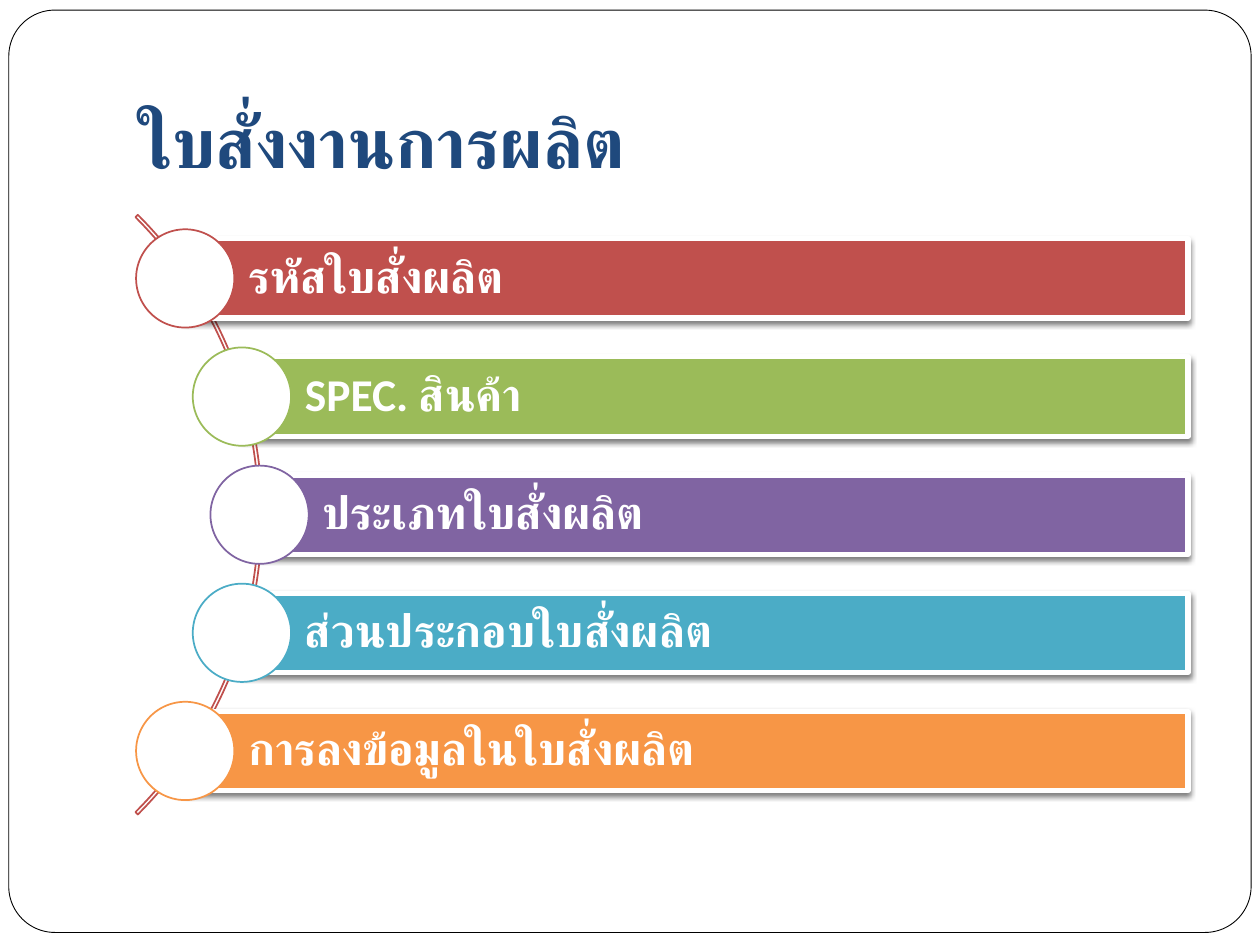
import pptx
import pptx.dml.color
import pptx.enum.shapes
import pptx.enum.text
import pptx.oxml
import pptx.oxml.ns
import pptx.util

RGBColor = pptx.dml.color.RGBColor
Shape = pptx.enum.shapes.MSO_SHAPE
Anchor = pptx.enum.text.MSO_ANCHOR

WHITE = RGBColor(0xFF, 0xFF, 0xFF)
BLACK = RGBColor(0, 0, 0)
NAVY = RGBColor(0x1F, 0x49, 0x7D)
RED = RGBColor(0xC0, 0x50, 0x4D)
GREEN = RGBColor(0x9B, 0xBB, 0x59)
PURPLE = RGBColor(0x80, 0x64, 0xA2)
TEAL = RGBColor(0x4B, 0xAC, 0xC6)
ORANGE = RGBColor(0xF7, 0x96, 0x46)

WIDTH = pptx.util.Inches(10)
HEIGHT = pptx.util.Inches(7.5)
FONT = "Calibri"

FIRST_ROW = 29.47
ROW_STEP = 12.5
BAR_RIGHT = 94.3
BAR_HEIGHT = 8.4
CIRCLE_WIDTH = 7.8
CIRCLE_HEIGHT = 10.4

TOPICS = [
    ("รหัสใบสั่งผลิต", RED, 14.7),
    ("SPEC. สินค้า", GREEN, 19.2),
    ("ประเภทใบสั่งผลิต", PURPLE, 20.6),
    ("ส่วนประกอบใบสั่งผลิต", TEAL, 19.2),
    ("การลงข้อมูลในใบสั่งผลิต", ORANGE, 14.7),
]


def percent_box(left, top, width, height):
    return (int(WIDTH * left / 100), int(HEIGHT * top / 100),
            int(WIDTH * width / 100), int(HEIGHT * height / 100))


def add_outlined(slide, kind, box, fill, line, weight):
    outlined = slide.shapes.add_shape(kind, *percent_box(*box))
    outlined.shadow.inherit = False
    if fill is None:
        outlined.fill.background()
    else:
        outlined.fill.solid()
        outlined.fill.fore_color.rgb = fill
    outlined.line.color.rgb = line
    outlined.line.width = pptx.util.Pt(weight)
    return outlined


def write_text(holder, words, size, color, anchor, insets):
    frame = holder.text_frame
    frame.word_wrap = True
    frame.vertical_anchor = anchor
    (frame.margin_left, frame.margin_top,
     frame.margin_right, frame.margin_bottom) = map(pptx.util.Inches, insets)
    paragraph = frame.paragraphs[0]
    paragraph.text = words
    paragraph.alignment = pptx.enum.text.PP_ALIGN.LEFT
    paragraph.font.name = FONT
    paragraph.font.size = pptx.util.Pt(size)
    paragraph.font.bold = True
    paragraph.font.color.rgb = color
    return paragraph


def drop_shadow(bar):
    effects = bar._element.spPr.find(pptx.oxml.ns.qn("a:effectLst"))
    effects.append(pptx.oxml.parse_xml(
        f'<a:outerShdw {pptx.oxml.ns.nsdecls("a")} blurRad="{pptx.util.Pt(3)}" '
        f'dist="{pptx.util.Pt(2)}" dir="5400000" rotWithShape="0">'
        '<a:srgbClr val="000000"><a:alpha val="50000"/></a:srgbClr>'
        '</a:outerShdw>'))


def add_frame(slide):
    frame = add_outlined(slide, Shape.ROUNDED_RECTANGLE,
                         (0.7, 1.07, 98.6, 97.6), WHITE, BLACK, 0.5)
    frame.adjustments[0] = 0.05


def add_title(slide, words):
    title = slide.shapes.add_textbox(*percent_box(10, 4, 85, 16.67))
    write_text(title, words, 40, NAVY, Anchor.BOTTOM, (0.1, 0.05, 0.1, 0.1))


def add_arc(slide):
    arc = add_outlined(slide, Shape.BLOCK_ARC,
                       (-46.5, 9.6, 67.3, 89.73), None, RED, 1)
    for index, value in enumerate((189, 27, 0.004)):
        arc.adjustments[index] = value


def add_topic(slide, row, words, color, left):
    middle = FIRST_ROW + row * ROW_STEP
    bar = add_outlined(slide, Shape.RECTANGLE,
                       (left, middle - BAR_HEIGHT / 2, BAR_RIGHT - left, BAR_HEIGHT),
                       color, WHITE, 3)
    drop_shadow(bar)
    label = write_text(bar, words, 26, WHITE, Anchor.MIDDLE, (0.5, 0.07, 0.07, 0.07))
    label.line_spacing = 0.9
    add_outlined(slide, Shape.OVAL,
                 (left - CIRCLE_WIDTH / 2, middle - CIRCLE_HEIGHT / 2,
                  CIRCLE_WIDTH, CIRCLE_HEIGHT), WHITE, color, 1)


def main():
    deck = pptx.Presentation()
    deck.slide_width, deck.slide_height = WIDTH, HEIGHT
    slide = deck.slides.add_slide(deck.slide_layouts[6])
    add_frame(slide)
    add_title(slide, "ใบสั่งงานการผลิต")
    add_arc(slide)
    for row, (words, color, left) in enumerate(TOPICS):
        add_topic(slide, row, words, color, left)
    deck.save("out.pptx")


if __name__ == "__main__":
    main()
